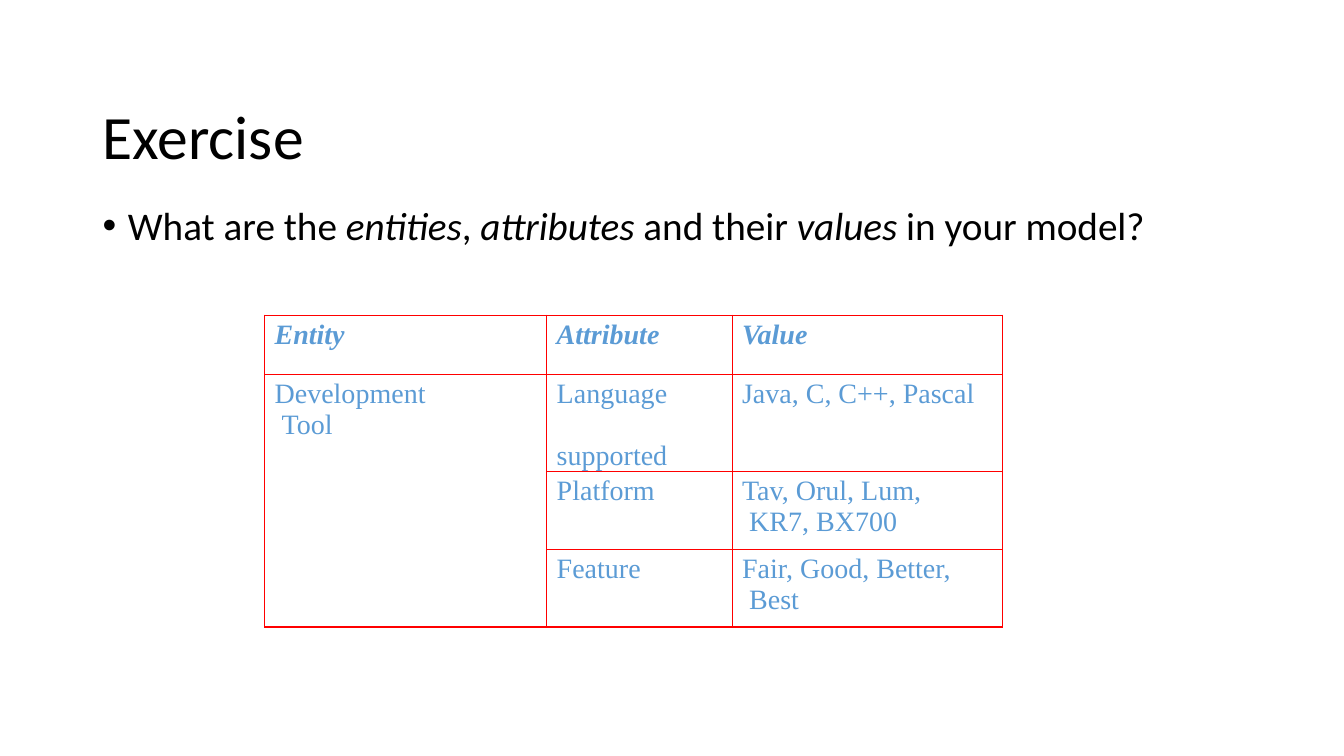
"""Build the Exercise slide with its entity, attribute and value table."""
from dataclasses import dataclass

from lxml import etree
from pptx import Presentation
from pptx.dml.color import RGBColor
from pptx.enum import text
from pptx.oxml.ns import qn
from pptx.util import Cm, Pt


@dataclass(frozen=True)
class Theme:
    ink: str = "000000"
    cell_ink: str = "5B9BD5"
    border: str = "FF0000"
    font: str = "Calibri"
    cell_font: str = "Times New Roman"
    title_size: int = 44
    body_size: int = 28
    cell_size: int = 20


theme = Theme()


def style(font, name, size, color):
    font.name = name
    font.size = Pt(size)
    font.color.rgb = RGBColor.from_string(color)


def add_borders(cell):
    properties = cell._tc.get_or_add_tcPr()
    for position, side in enumerate(("lnL", "lnR", "lnT", "lnB")):
        line = etree.Element(qn(f"a:{side}"), w=str(Pt(1)))
        fill = etree.SubElement(line, qn("a:solidFill"))
        etree.SubElement(fill, qn("a:srgbClr"), val=theme.border)
        properties.insert(position, line)


presentation = Presentation()
presentation.slide_width = Cm(33.87)
presentation.slide_height = Cm(19.05)
slide = presentation.slides.add_slide(presentation.slide_layouts[1])

title = slide.shapes.title
title.left, title.top, title.width, title.height = Cm(2.33), Cm(2.31), Cm(29.21), Cm(2.39)
title.text_frame.vertical_anchor = text.MSO_ANCHOR.MIDDLE
title.text_frame.text = "Exercise"
paragraph = title.text_frame.paragraphs[0]
paragraph.alignment = text.PP_ALIGN.LEFT
paragraph.line_spacing = 0.9
style(paragraph.font, theme.font, theme.title_size, theme.ink)

body = slide.placeholders[1]
body.left, body.top, body.width, body.height = Cm(2.33), Cm(5.08), Cm(29.41), Cm(2.21)
paragraph = body.text_frame.paragraphs[0]
paragraph.line_spacing = 0.9
paragraph.space_before = Pt(0)
bullet_properties = paragraph._p.get_or_add_pPr()
bullet_properties.set("marL", str(Cm(0.64)))
bullet_properties.set("indent", str(Cm(-0.64)))
etree.SubElement(bullet_properties, qn("a:buChar"), char="•")
style(paragraph.font, theme.font, theme.body_size, theme.ink)
question = ("What are the ", "entities", ", ", "attributes", " and their ", "values", " in your model?")
for position, words in enumerate(question):
    run = paragraph.add_run()
    run.text = words
    run.font.italic = position % 2 == 1

column_widths = (7.11, 4.67, 6.81)
row_heights = (1.49, 2.45, 1.96, 1.96)
rows = (
    ("Entity", "Attribute", "Value"),
    ("Development\nTool", "Language\nsupported", "Java, C, C++, Pascal"),
    ("", "Platform", "Tav, Orul, Lum,\nKR7, BX700"),
    ("", "Feature", "Fair, Good, Better,\nBest"),
)
table = slide.shapes.add_table(
    len(rows), len(column_widths), Cm(6.67), Cm(7.94), Cm(sum(column_widths)), Cm(sum(row_heights))
).table
table.first_row = False
table.horz_banding = False
for column, width in zip(table.columns, column_widths):
    column.width = Cm(width)

for row_index, (row, height) in enumerate(zip(rows, row_heights)):
    table.rows[row_index].height = Cm(height)
    for column_index, words in enumerate(row):
        cell = table.cell(row_index, column_index)
        cell.margin_left, cell.margin_top = Cm(0.25), Cm(0.1)
        cell.margin_right = cell.margin_bottom = 0
        cell.fill.background()
        add_borders(cell)
        if not words:
            continue
        cell.text = words
        for line_index, paragraph in enumerate(cell.text_frame.paragraphs):
            if line_index and words.startswith("Language"):
                paragraph.space_before = Pt(22)
            elif line_index:
                paragraph._p.get_or_add_pPr().set("marL", str(Cm(0.18)))
            style(paragraph.font, theme.cell_font, theme.cell_size, theme.cell_ink)
            paragraph.font.bold = paragraph.font.italic = row_index == 0

table.cell(1, 0).merge(table.cell(3, 0))

presentation.save("out.pptx")
